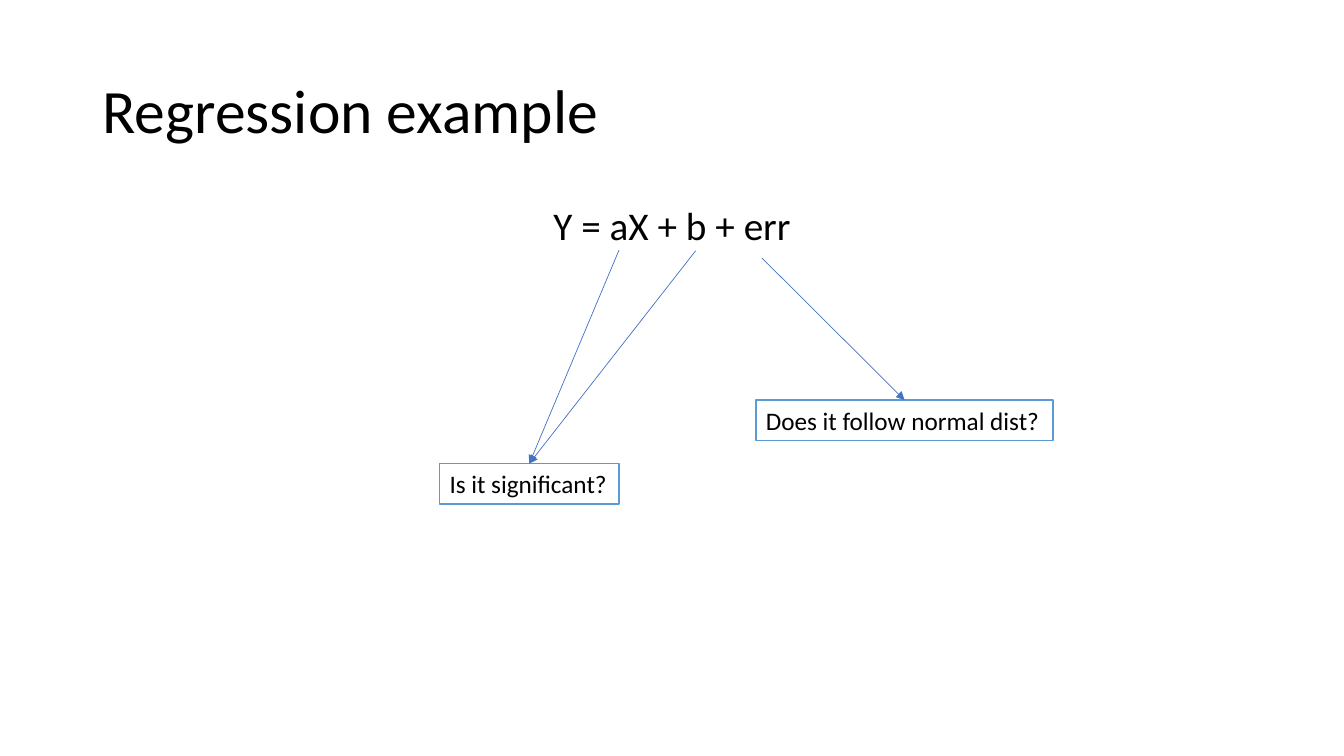
from dataclasses import dataclass

from lxml.etree import SubElement
from pptx import Presentation
from pptx.dml.color import RGBColor
from pptx.enum.shapes import MSO_CONNECTOR as Connector, MSO_SHAPE as Shape
from pptx.enum.text import MSO_ANCHOR as Anchor, MSO_AUTO_SIZE as AutoSize, PP_ALIGN as Align
from pptx.oxml.ns import qn
from pptx.util import Cm, Pt

TITLE = "Regression example"
EQUATION = "Y = aX + b + err"
QUESTIONS = [
    {"text": "Is it significant?", "box": (11.08, 11.68, 4.52, 1.02),
     "terms": [(15.6, 6.3), (17.53, 6.32)]},
    {"text": "Does it follow normal dist?", "box": (19.05, 10.08, 7.49, 1.02),
     "terms": [(19.2, 6.5)]},
]
TITLE_AREA = (2.33, 1.02, 29.21, 3.68)
EQUATION_AREA = (2.33, 5.08, 29.21, 12.09)
TOP_SIDE = 0


@dataclass(frozen=True)
class Theme:
    font: str = "Calibri"
    ink: RGBColor = RGBColor(0, 0, 0)
    paper: RGBColor = RGBColor(255, 255, 255)
    arrow: RGBColor = RGBColor(0x44, 0x72, 0xC4)
    border: RGBColor = RGBColor(0x5B, 0x9B, 0xD5)
    title_size: int = 44
    equation_size: int = 28
    question_size: int = 18
    arrow_width: float = 0.5
    border_width: float = 1


THEME = Theme()


def lengths(values):
    return [Cm(value) for value in values]


def write(shape, text, size, align=Align.LEFT, anchor=Anchor.TOP, wrap=True, spacing=1.0):
    frame = shape.text_frame
    frame.word_wrap = wrap
    frame.vertical_anchor = anchor
    frame.auto_size = AutoSize.NONE if wrap else AutoSize.SHAPE_TO_FIT_TEXT
    paragraph = frame.paragraphs[0]
    paragraph.alignment = align
    paragraph.line_spacing = spacing
    run = paragraph.add_run()
    run.text = text
    run.font.name = THEME.font
    run.font.size = Pt(size)
    run.font.color.rgb = THEME.ink
    return paragraph


def add_title(slide):
    title = slide.shapes.title
    title.left, title.top, title.width, title.height = lengths(TITLE_AREA)
    write(title, TITLE, THEME.title_size, anchor=Anchor.MIDDLE, spacing=0.9)


def add_equation(slide):
    equation = slide.shapes.add_textbox(*lengths(EQUATION_AREA))
    paragraph = write(equation, EQUATION, THEME.equation_size, align=Align.CENTER, spacing=0.9)
    paragraph.space_before = Pt(10)


def add_question(slide, text, box):
    shape = slide.shapes.add_shape(Shape.RECTANGLE, *lengths(box))
    shape.shadow.inherit = False
    shape.fill.solid()
    shape.fill.fore_color.rgb = THEME.paper
    shape.line.color.rgb = THEME.border
    shape.line.width = Pt(THEME.border_width)
    write(shape, text, THEME.question_size, wrap=False)
    return shape


def add_arrow(slide, term, question):
    start = lengths(term)
    arrow = slide.shapes.add_connector(Connector.STRAIGHT, *start, *start)
    arrow.end_connect(question, TOP_SIDE)
    arrow.line.color.rgb = THEME.arrow
    arrow.line.width = Pt(THEME.arrow_width)
    properties = arrow.element.spPr
    SubElement(properties.find(qn("a:ln")), qn("a:tailEnd"), type="triangle")
    SubElement(properties, qn("a:effectLst"))


def main():
    presentation = Presentation()
    presentation.slide_width, presentation.slide_height = lengths((33.87, 19.05))
    slide = presentation.slides.add_slide(presentation.slide_layouts[5])
    add_title(slide)
    add_equation(slide)
    for question in QUESTIONS:
        shape = add_question(slide, question["text"], question["box"])
        for term in question["terms"]:
            add_arrow(slide, term, shape)
    presentation.save("out.pptx")


if __name__ == "__main__":
    main()
